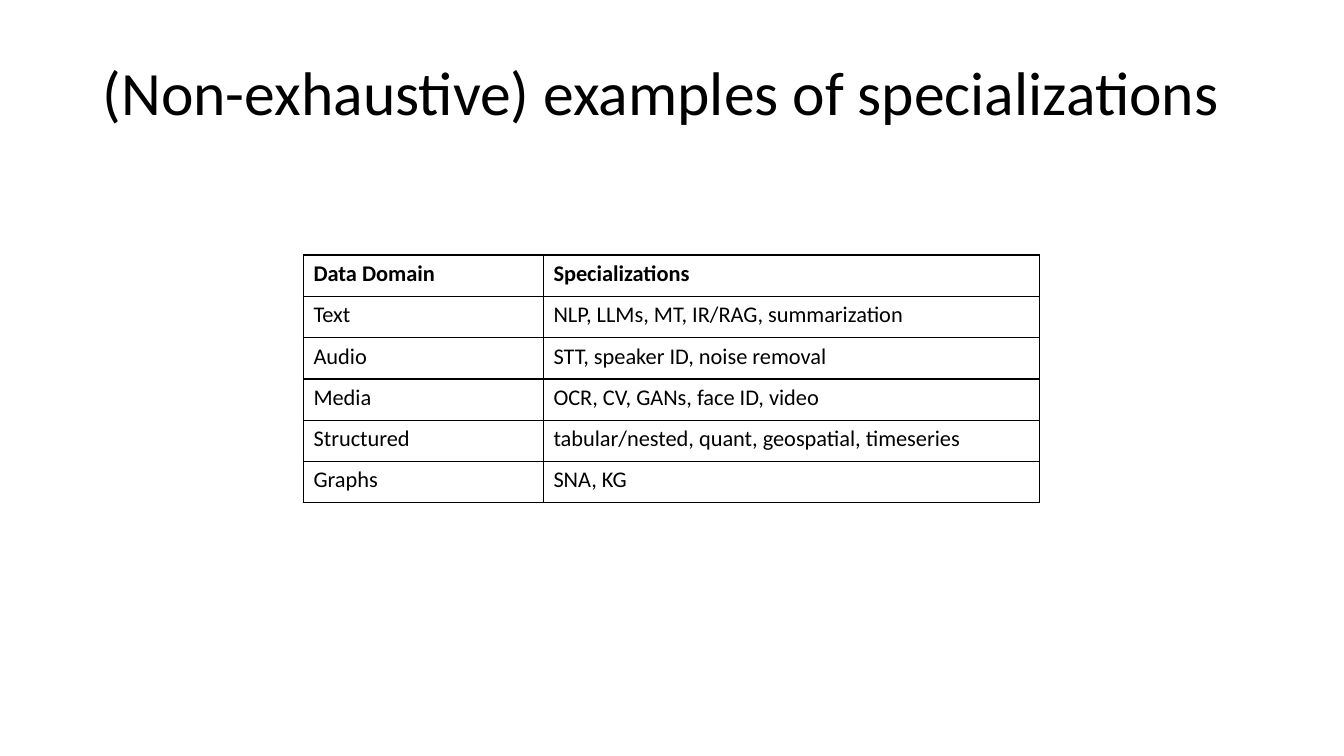
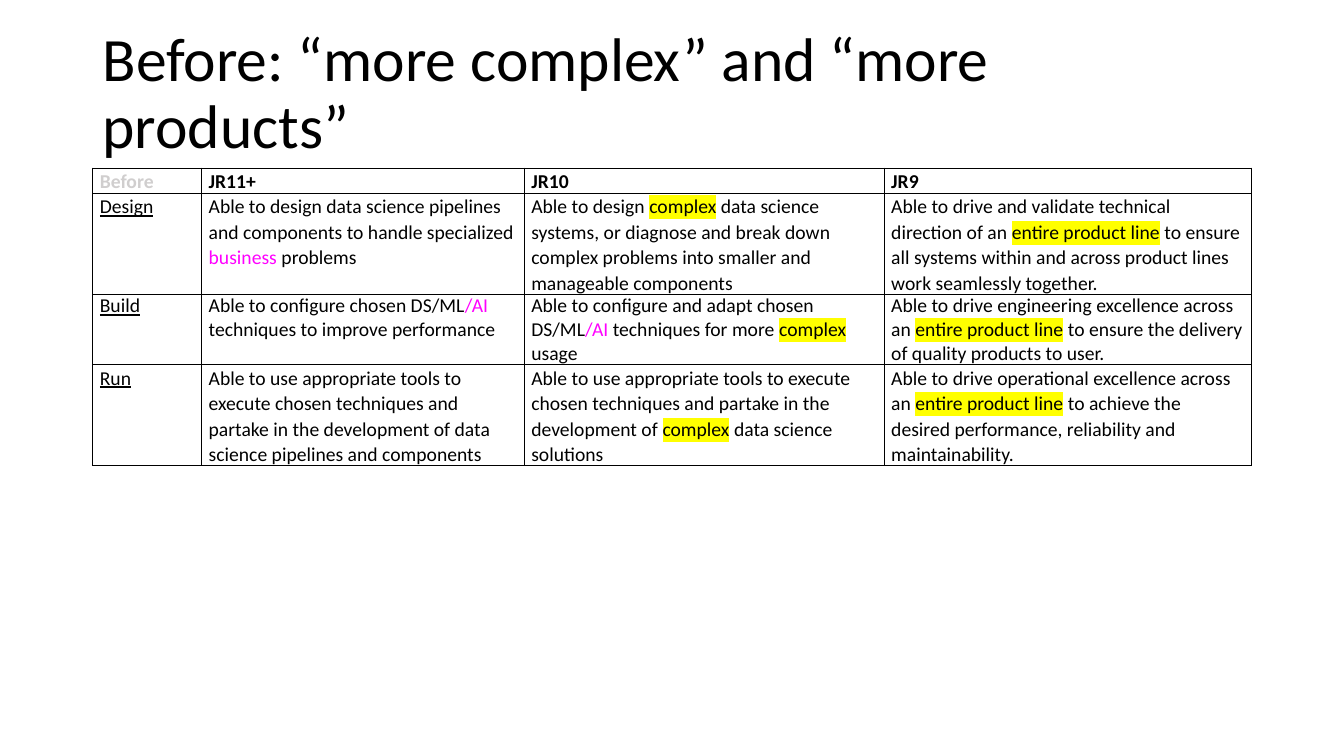
from dataclasses import dataclass

from lxml.etree import SubElement
from pptx import Presentation
from pptx.dml.color import RGBColor
from pptx.enum.text import MSO_ANCHOR
from pptx.oxml import parse_xml
from pptx.oxml.ns import nsdecls, qn
from pptx.util import Inches, Pt


@dataclass(frozen=True)
class Theme:
    font: str = "Calibri"
    text: str = "000000"
    muted: str = "D0CECE"
    accent: str = "FF00FF"
    marker: str = "FFFF00"
    border: str = "000000"
    border_width: int = Pt(1)
    title_size: int = 44


THEME = Theme()

# Run styles that a cell may name; a plain string is a run in the plain style.
RUN_STYLES = {
    "plain": {},
    "bold": {"bold": True},
    "muted": {"bold": True, "color": THEME.muted},
    "underlined": {"underline": True},
    "accent": {"color": THEME.accent},
    "marked": {"highlight": THEME.marker},
}

AI = ("/AI", "accent")
COMPLEX = ("complex", "marked")
PRODUCT_LINE = ("entire product line", "marked")

SLIDES = [
    {
        "title": "(Non-exhaustive) examples of specializations",
        "origin": (3.01, 2.53),
        "columns": [2.38, 4.92],
        "row_height": 0.41,
        "text_size": 16,
        "margins": (0.1, 0.05),
        "line_spacings": [1] * 6,
        "rows": [
            [[("Data Domain", "bold")], [("Specializations", "bold")]],
            [["Text"], ["NLP, LLMs, MT, IR/RAG, summarization"]],
            [["Audio"], ["STT, speaker ID, noise removal"]],
            [["Media"], ["OCR, CV, GANs, face ID, video"]],
            [["Structured"], ["tabular/nested, quant, geospatial, timeseries"]],
            [["Graphs"], ["SNA, KG"]],
        ],
    },
    {
        "title": "Before: “more complex” and “more products”",
        "origin": (0.92, 1.67),
        "columns": [1.08, 3.2, 3.57, 3.64],
        "row_height": 0.19,
        "text_size": 14,
        "margins": (0.07, 0),
        "line_spacings": [1.07, 1.07, 1, 1.07],
        "rows": [
            [[("Before", "muted")], [("JR11+", "bold")], [("JR10", "bold")], [("JR9", "bold")]],
            [
                [("Design", "underlined")],
                ["Able to design data science pipelines and components to handle specialized ",
                 ("business", "accent"), " problems"],
                ["Able to design ", COMPLEX,
                 " data science systems, or diagnose and break down complex problems"
                 " into smaller and manageable components"],
                ["Able to drive and validate technical direction of an ", PRODUCT_LINE,
                 " to ensure all systems within and across product lines work seamlessly together."],
            ],
            [
                [("Build", "underlined")],
                ["Able to configure chosen DS/ML", AI, " techniques to improve performance"],
                ["Able to configure and adapt chosen DS/ML", AI, " techniques for more ",
                 COMPLEX, " usage"],
                ["Able to drive engineering excellence across an ", PRODUCT_LINE,
                 " to ensure the delivery of quality products to user."],
            ],
            [
                [("Run", "underlined")],
                ["Able to use appropriate tools to execute chosen techniques and partake in"
                 " the development of data science pipelines and components"],
                ["Able to use appropriate tools to execute chosen techniques and partake in"
                 " the development of ", COMPLEX, " data science solutions"],
                ["Able to drive operational excellence across an ", PRODUCT_LINE,
                 " to achieve the desired performance, reliability and maintainability."],
            ],
        ],
    },
]


def add_run(paragraph, text, size, bold=False, underline=False, color=THEME.text, highlight=None):
    run = paragraph.add_run()
    run.text = text
    formats = {"name": THEME.font, "size": Pt(size), "bold": bold, "underline": underline}
    for name, value in formats.items():
        setattr(run.font, name, value)
    run.font.color.rgb = RGBColor.from_string(color)
    if highlight:
        marker = parse_xml(
            f'<a:highlight {nsdecls("a")}><a:srgbClr val="{highlight}"/></a:highlight>')
        run.font._element.find(qn("a:latin")).addprevious(marker)


def add_title(slide, text):
    box = slide.shapes.add_textbox(Inches(0.92), Inches(0.22), Inches(11.5), Inches(1.45))
    frame = box.text_frame
    frame.word_wrap = True
    frame.vertical_anchor = MSO_ANCHOR.MIDDLE
    paragraph = frame.paragraphs[0]
    paragraph.line_spacing = 0.9
    add_run(paragraph, text, THEME.title_size)


def add_borders(cell):
    properties = cell._tc.get_or_add_tcPr()
    for side in ("lnL", "lnR", "lnT", "lnB"):
        line = SubElement(properties, qn(f"a:{side}"), w=str(THEME.border_width))
        fill = SubElement(line, qn("a:solidFill"))
        SubElement(fill, qn("a:srgbClr"), val=THEME.border)


def fill_cell(cell, runs, content, line_spacing):
    add_borders(cell)
    cell.fill.background()
    side, end = (Inches(margin) for margin in content["margins"])
    cell.margin_left = cell.margin_right = side
    cell.margin_top = cell.margin_bottom = end
    paragraph = cell.text_frame.paragraphs[0]
    paragraph.line_spacing = line_spacing
    for run in runs:
        text, style = (run, "plain") if isinstance(run, str) else run
        add_run(paragraph, text, content["text_size"], **RUN_STYLES[style])


def add_grid(slide, content):
    rows, columns = content["rows"], content["columns"]
    left, top = content["origin"]
    table = slide.shapes.add_table(
        len(rows), len(columns), Inches(left), Inches(top),
        Inches(sum(columns)), Inches(content["row_height"] * len(rows))).table
    table.first_row = table.horz_banding = False
    for column, width in zip(table.columns, columns):
        column.width = Inches(width)
    for row, cells, spacing in zip(table.rows, rows, content["line_spacings"]):
        row.height = Inches(content["row_height"])
        for cell, runs in zip(row.cells, cells):
            fill_cell(cell, runs, content, spacing)


def main():
    presentation = Presentation()
    presentation.slide_width = Inches(13.33)
    presentation.slide_height = Inches(7.5)
    for content in SLIDES:
        slide = presentation.slides.add_slide(presentation.slide_layouts[6])
        add_title(slide, content["title"])
        add_grid(slide, content)
    presentation.save("out.pptx")


if __name__ == "__main__":
    main()
